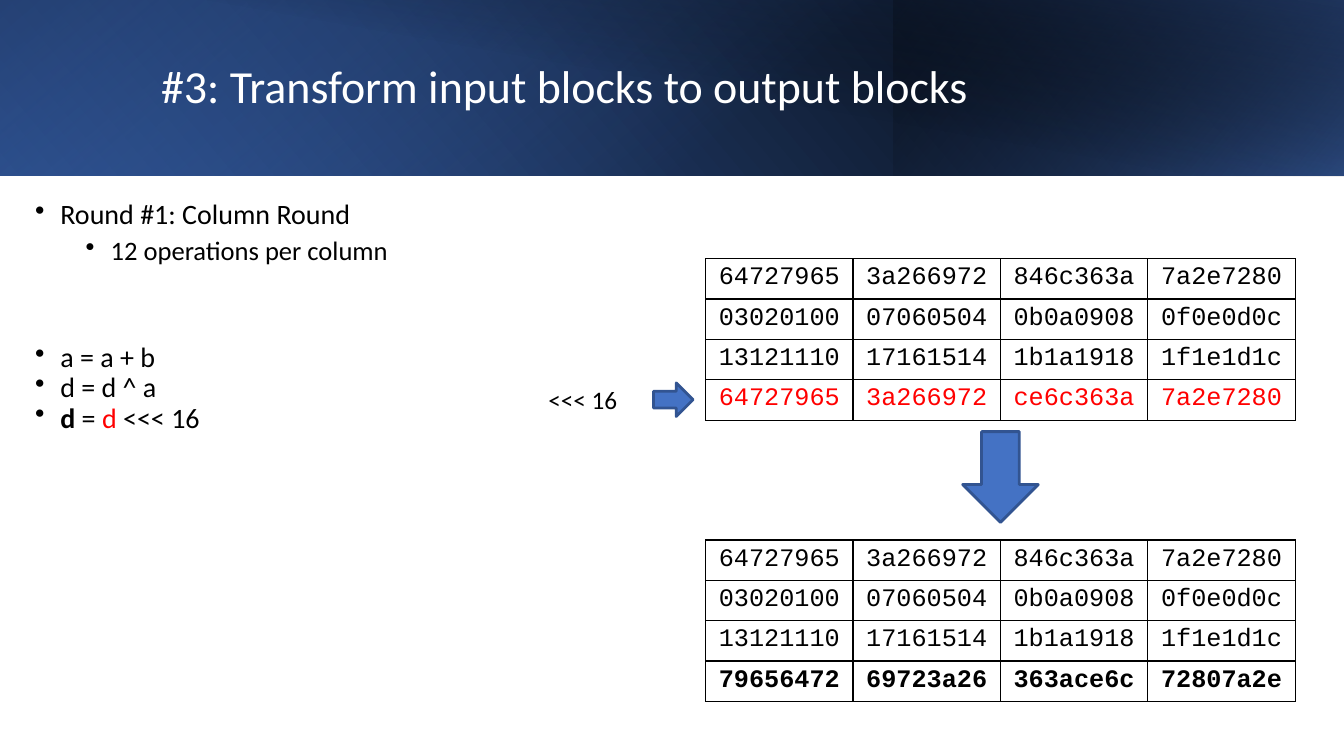
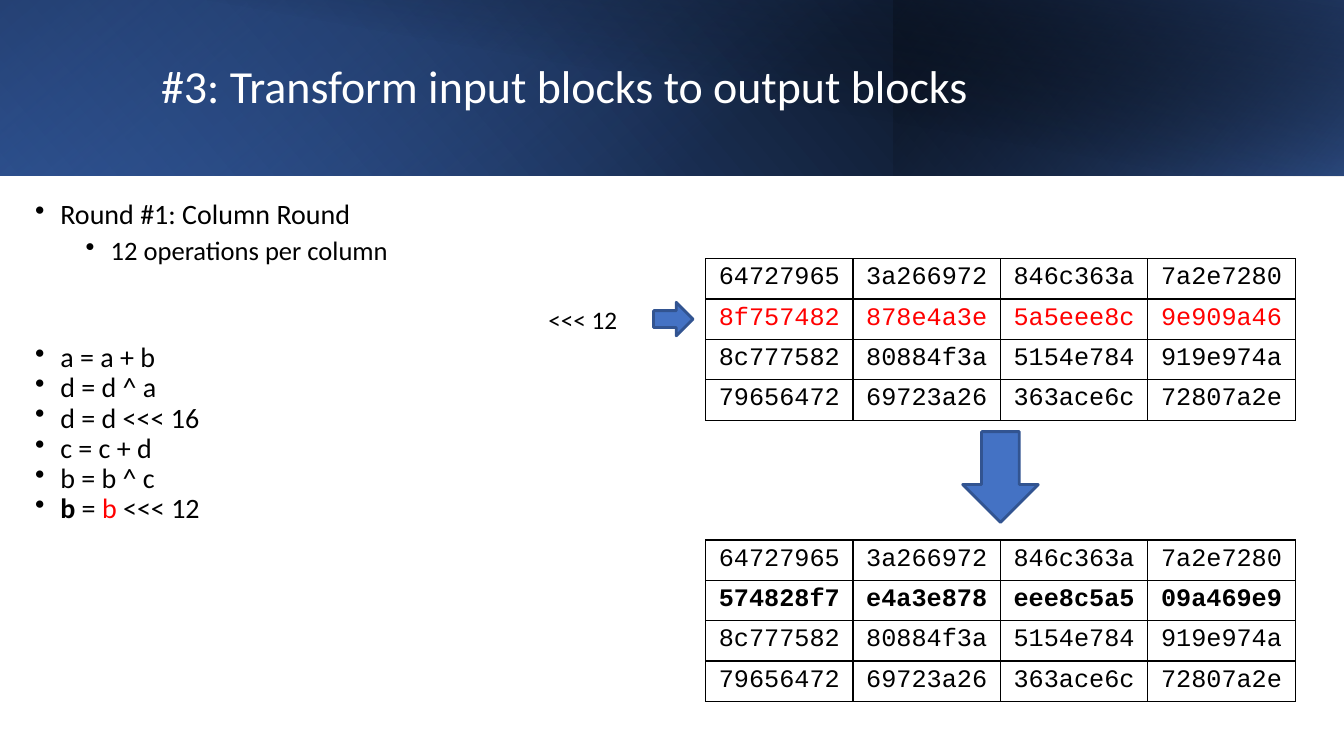
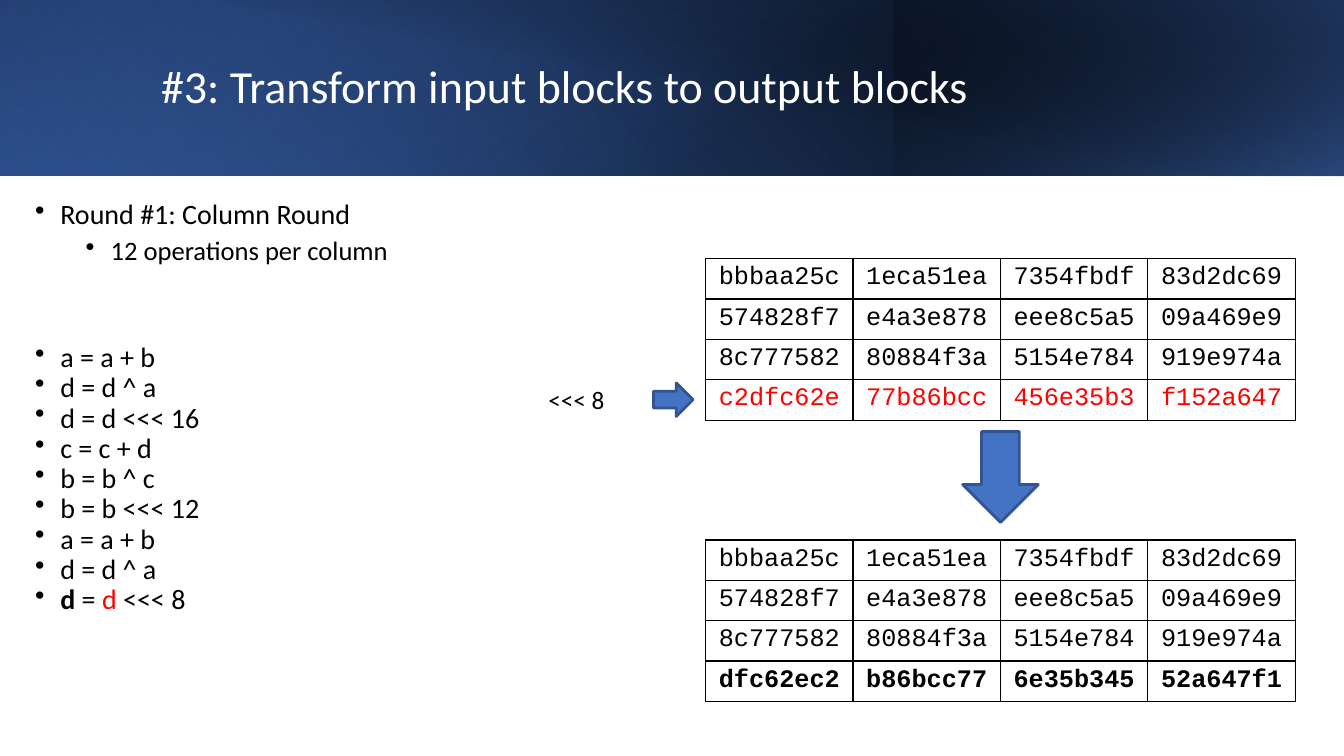
from pptx import Presentation
from pptx import util as u
from pptx.dml.color import RGBColor
from pptx.enum import shapes, text
from pptx.oxml import parse_xml
from pptx.oxml.ns import nsdecls, qn

COLOURS = {
    "black": "000000", "white": "FFFFFF", "red": "FF0000",
    "blue": "4472C4", "outline": "325491", "deep": "2F5597", "navy": "203864",
}
SANS, MONO = "Calibri", "Courier New"
COLUMNS = 16  # the slide is a grid of 16 by 9 square cells

# Band layers: place, flipped, rotation, angle, stops (position, colour, opacity)
BAND = [
    ((0, 0, 16, 2.09), True, 0, 40, [(0, "black", 100), (1, "deep", 100)]),
    ((0, 0, 10.64, 2.09), True, 180, 130, [(0.2, "blue", 0), (1, "navy", 55)]),
    ((10.64, 0, 5.36, 2.09), True, 0, 320, [(0, "blue", 66), (1, "black", 30)]),
    ((0.6, 0, 15.4, 2.1), False, 0, 280, [(0.5, "black", 0), (1, "navy", 52)]),
]

TITLE = "#3: Transform input blocks to output blocks"
STEPS = ["a = a + b", "d = d ^ a", "d = d <<< 16",
         "c = c + d", "b = b ^ c", "b = b <<< 12",
         "a = a + b", "d = d ^ a", "d = d <<< 8"]

# Each round: steps shown, rotated row, bits, input block
ROUNDS = [
    (3, 3, 16, ["64727965 3a266972 846c363a 7a2e7280",
                "03020100 07060504 0b0a0908 0f0e0d0c",
                "13121110 17161514 1b1a1918 1f1e1d1c",
                "64727965 3a266972 ce6c363a 7a2e7280"]),
    (6, 1, 12, ["64727965 3a266972 846c363a 7a2e7280",
                "8f757482 878e4a3e 5a5eee8c 9e909a46",
                "8c777582 80884f3a 5154e784 919e974a",
                "79656472 69723a26 363ace6c 72807a2e"]),
    (9, 3, 8, ["bbbaa25c 1eca51ea 7354fbdf 83d2dc69",
               "574828f7 e4a3e878 eee8c5a5 09a469e9",
               "8c777582 80884f3a 5154e784 919e974a",
               "c2dfc62e 77b86bcc 456e35b3 f152a647"]),
]

TABLE_LEFT, TABLE_WIDTH, ROW = 8.4, 7.02, 0.48
INPUT_TOP, OUTPUT_TOP = 3.08, 6.43


def rgb(name):
    return RGBColor.from_string(COLOURS[name])


def rotate_left(word, bits):
    digits = bits // 4
    return word[digits:] + word[:digits]


class Board:
    """Holds the deck, its style and the current slide."""

    def __init__(self):
        self.deck = Presentation()
        self.deck.slide_width, self.deck.slide_height = u.Inches(13.33), u.Inches(7.5)
        self.unit = self.deck.slide_width / COLUMNS

    def grid(self, *lengths):
        return [u.Emu(round(length * self.unit)) for length in lengths]

    def new_slide(self, title):
        self.page = self.deck.slides.add_slide(self.deck.slide_layouts[6])
        for layer in BAND:
            self.band_layer(*layer)
        frame = self.text_box(1.8, 0.38, 12.98, 1.36)
        frame.vertical_anchor = text.MSO_ANCHOR.MIDDLE
        frame.paragraphs[0].line_spacing = 0.9
        self.span(frame.paragraphs[0], title, 32.8, "white")

    def band_layer(self, place, flipped, rotation, angle, stops):
        box = self.page.shapes.add_shape(shapes.MSO_SHAPE.RECTANGLE, *self.grid(*place))
        box.shadow.inherit = False
        box.line.fill.background()
        box.rotation = rotation
        if flipped:
            box._element.spPr.xfrm.set("flipH", "1")
        box.fill.gradient()
        box.fill.gradient_angle = 360 - angle
        for stop, (position, colour, _) in zip(box.fill.gradient_stops, stops):
            stop.position, stop.color.rgb = position, rgb(colour)
        for mark, (_, _, opacity) in zip(box._element.spPr.iter(qn("a:srgbClr")), stops):
            if opacity < 100:
                mark.append(parse_xml(f'<a:alpha {nsdecls("a")} val="{opacity * 1000}"/>'))

    def text_box(self, *place):
        frame = self.page.shapes.add_textbox(*self.grid(*place)).text_frame
        frame.word_wrap = True
        return frame

    def span(self, para, words, size, colour="black", bold=False, face=SANS):
        span = para.add_run()
        span.text = words
        span.font.size, span.font.name, span.font.bold = u.Pt(size), face, bold
        span.font.color.rgb = rgb(colour)

    def label(self, words, *place):
        self.span(self.text_box(*place).paragraphs[0], words, 18)

    def bullets(self, items, *place):
        """Each item is (level, size, space before, [(words, colour, bold)])."""
        frame = self.text_box(*place)
        for index, (level, size, space, spans) in enumerate(items):
            para = frame.add_paragraph() if index else frame.paragraphs[0]
            props = para._p.get_or_add_pPr()
            props.set("marL", str(u.Inches(0.25 + 0.5 * level)))
            props.set("indent", str(-u.Inches(0.25)))
            props.append(parse_xml(f'<a:buClr {nsdecls("a")}>'
                                   f'<a:srgbClr val="{COLOURS["black"]}"/></a:buClr>'))
            props.append(parse_xml(f'<a:buChar {nsdecls("a")} char="•"/>'))
            para.level, para.line_spacing = level, 0.9
            para.space_before = u.Pt(space)
            for words, colour, bold in spans:
                self.span(para, words, size, colour, bold)

    def block(self, top, rows, marked, colour="black", bold=False):
        """A table of words with one row set apart."""
        count = len(rows[0])
        place = self.grid(TABLE_LEFT, top, TABLE_WIDTH, ROW * len(rows))
        table = self.page.shapes.add_table(len(rows), count, *place).table
        table.first_row = table.horz_banding = False
        for column in table.columns:
            column.width = self.grid(TABLE_WIDTH / count)[0]
        for index, words in enumerate(rows):
            table.rows[index].height = self.grid(ROW)[0]
            style = (colour, bold) if index == marked else ("black", False)
            for cell, word in zip(table.rows[index].cells, words):
                self.borders(cell)
                cell.fill.background()
                para = cell.text_frame.paragraphs[0]
                para.alignment = text.PP_ALIGN.CENTER
                self.span(para, word, 18, *style, face=MONO)

    def borders(self, cell):
        props = cell._tc.get_or_add_tcPr()
        for side in "LRTB":
            props.append(parse_xml(
                f'<a:ln{side} {nsdecls("a")} w="{u.Pt(0.96)}"><a:solidFill>'
                f'<a:srgbClr val="{COLOURS["black"]}"/></a:solidFill></a:ln{side}>'))

    def arrow(self, kind, *place):
        arrow = self.page.shapes.add_shape(kind, *self.grid(*place))
        arrow.shadow.inherit = False
        arrow.fill.solid()
        arrow.fill.fore_color.rgb = rgb("blue")
        arrow.line.color.rgb, arrow.line.width = rgb("outline"), u.Pt(2)


def step_item(step, current):
    spans = [(step, "black", False)]
    if current:
        target, equals, source, rest = step[0], step[1:4], step[4], step[5:]
        spans = [(target, "black", True), (equals, "black", False),
                 (source, "red", False), (rest, "black", False)]
    return 0, 20, 0, spans


def main():
    board = Board()
    for shown, row, bits, lines in ROUNDS:
        board.new_slide(TITLE)

        # Heading and the steps so far
        board.bullets([(0, 20, 0, [("Round #1: Column Round", "black", False)]),
                       (1, 19, 5, [("12 operations per column", "black", False)])],
                      0.3, 2.33, 6.49, 1.51)
        board.bullets([step_item(step, index == shown - 1)
                       for index, step in enumerate(STEPS[:shown])],
                      0.3, 4.03, 6.49, 4.8)

        # Block before and after the rotation
        before = [line.split() for line in lines]
        after = list(before)
        after[row] = [rotate_left(word, bits) for word in before[row]]
        board.block(INPUT_TOP, before, row, colour="red")
        board.block(OUTPUT_TOP, after, row, bold=True)

        # Arrows and the rotation label
        board.arrow(shapes.MSO_SHAPE.DOWN_ARROW,
                    TABLE_LEFT + TABLE_WIDTH / 2 - 0.45, 5.14, 0.9, 1.08)
        middle = INPUT_TOP + (row + 0.5) * ROW
        board.arrow(shapes.MSO_SHAPE.RIGHT_ARROW, 7.78, middle - 0.2, 0.47, 0.4)
        board.label(f"<<< {bits}", 6.41, middle - 0.24, 1.46, 0.48)

    board.deck.save("out.pptx")


if __name__ == "__main__":
    main()
